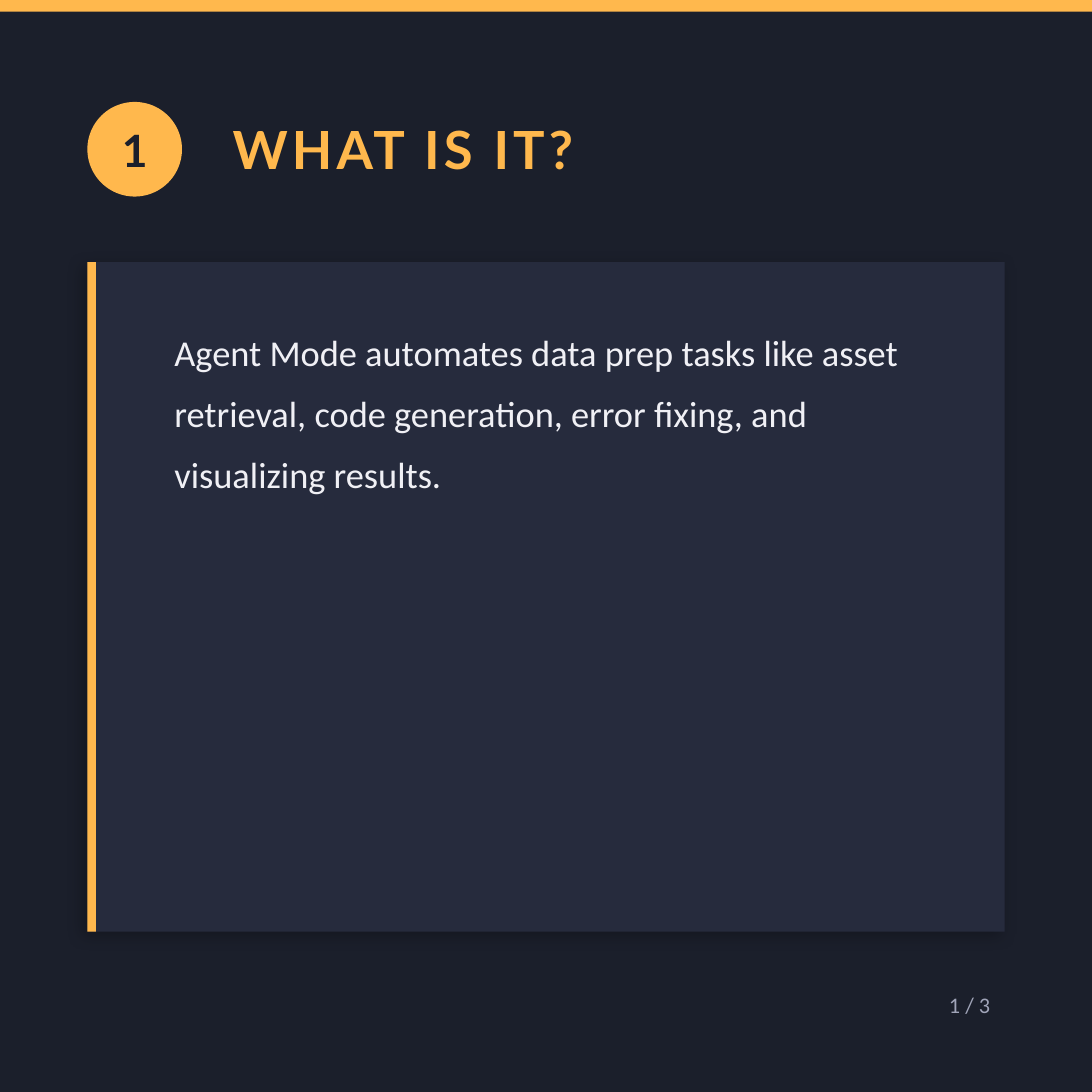
from lxml import etree
from pptx import Presentation
from pptx import util as u
from pptx.dml.color import RGBColor
from pptx.enum import shapes, text
from pptx.oxml.ns import qn

AMBER, NAVY, PANEL = "FFB84D", "1B1F2B", "262B3D"
WHITE, GREY = "F0F0F5", "A0A4B8"
SIDE = 540
MARGIN, CONTENT_W = 43.2, 453.6


def paint(fill, color):
    fill.solid()
    fill.fore_color.rgb = RGBColor.from_string(color)


def add_block(s, x, y, w, h, color, kind=shapes.MSO_SHAPE.RECTANGLE):
    sp = s.shapes.add_shape(kind, u.Pt(x), u.Pt(y), u.Pt(w), u.Pt(h))
    sp.shadow.inherit = False
    paint(sp.fill, color)
    sp.line.fill.background()
    return sp


def add_box(s, x, y, w, h):
    return s.shapes.add_textbox(u.Pt(x), u.Pt(y), u.Pt(w), u.Pt(h))


def write(sp, words, size, color, font="Calibri", bold=False,
          align=text.PP_ALIGN.LEFT, anchor=text.MSO_ANCHOR.MIDDLE,
          line_spacing=None, tracking=None):
    tf = sp.text_frame
    tf.word_wrap = True
    tf.vertical_anchor = anchor
    p = tf.paragraphs[0]
    p.alignment = align
    p.line_spacing = line_spacing
    r = p.add_run()
    r.text = words
    r.font.name, r.font.size, r.font.bold = font, u.Pt(size), bold
    paint(r.font.fill, color)
    if tracking:
        r.font._element.set("spc", str(tracking * 100))


def add_shadow(sp, color, alpha, blur, dist, angle):
    effects = sp._element.spPr.find(qn("a:effectLst"))
    shadow = etree.SubElement(
        effects, qn("a:outerShdw"), blurRad=str(u.Pt(blur)),
        dist=str(u.Pt(dist)), dir=str(angle * 60000),
        algn="bl", rotWithShape="0")
    clr = etree.SubElement(shadow, qn("a:srgbClr"), val=color)
    etree.SubElement(clr, qn("a:alpha"), val=str(alpha * 1000))


def add_heading(s, x, y, w, number, title):
    size = 46.8
    badge = add_block(s, x, y, size, size, AMBER, shapes.MSO_SHAPE.OVAL)
    tf = badge.text_frame
    tf.margin_left = tf.margin_right = tf.margin_top = tf.margin_bottom = 0
    write(badge, number, 22, NAVY, font="Lato", bold=True,
          align=text.PP_ALIGN.CENTER)
    indent = 64.8
    write(add_box(s, x + indent, y + 1.44, w - indent, 43.2), title, 26,
          AMBER, font="Lato", bold=True, tracking=2)


def add_card(s, x, y, w, h, body):
    panel = add_block(s, x, y, w, h, PANEL)
    add_shadow(panel, "000000", alpha=25, blur=8, dist=3, angle=135)
    add_block(s, x, y, 4.32, h, AMBER)
    pad_x, pad_y = 36, 21.6
    write(add_box(s, x + pad_x, y + pad_y, w - 1.6 * pad_x, h - 2 * pad_y),
          body, 18, WHITE, anchor=text.MSO_ANCHOR.TOP, line_spacing=1.4)


def add_page_number(s, x, y, w, h, label):
    write(add_box(s, x, y, w, h), label, 11, GREY,
          align=text.PP_ALIGN.RIGHT)


def main():
    prs = Presentation()
    prs.slide_width = prs.slide_height = u.Pt(SIDE)
    s = prs.slides.add_slide(prs.slide_layouts[6])
    paint(s.background.fill, NAVY)
    add_block(s, 0, 0, SIDE, 5.76, AMBER)
    add_heading(s, MARGIN, 50.4, CONTENT_W, "1", "WHAT IS IT?")
    add_card(s, MARGIN, 129.6, CONTENT_W, 331.2,
             "Agent Mode automates data prep tasks like asset retrieval, "
             "code generation, error fixing, and visualizing results.")
    add_page_number(s, MARGIN, 482.4, CONTENT_W, 28.8, "1 / 3")
    prs.save("out.pptx")


if __name__ == "__main__":
    main()
